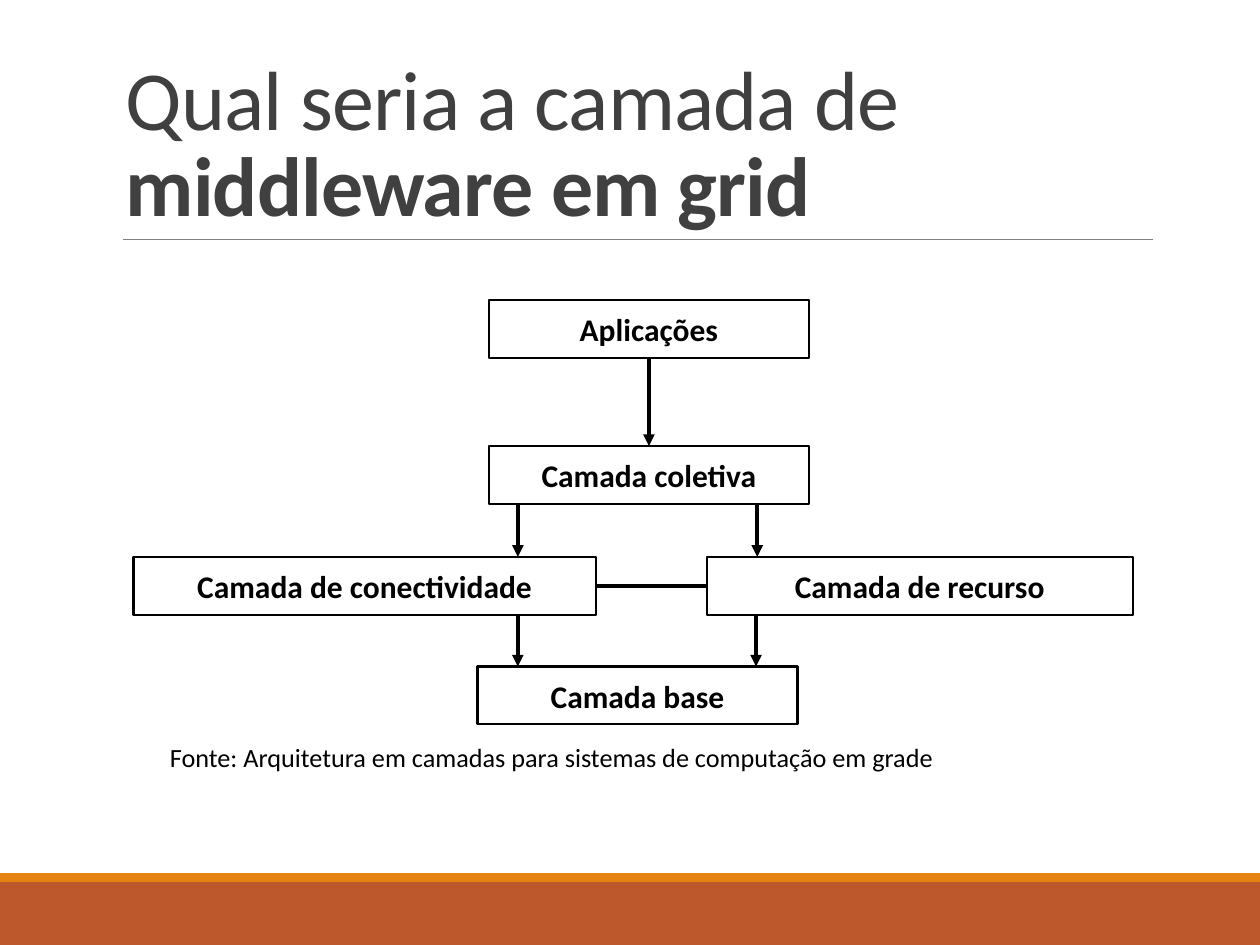
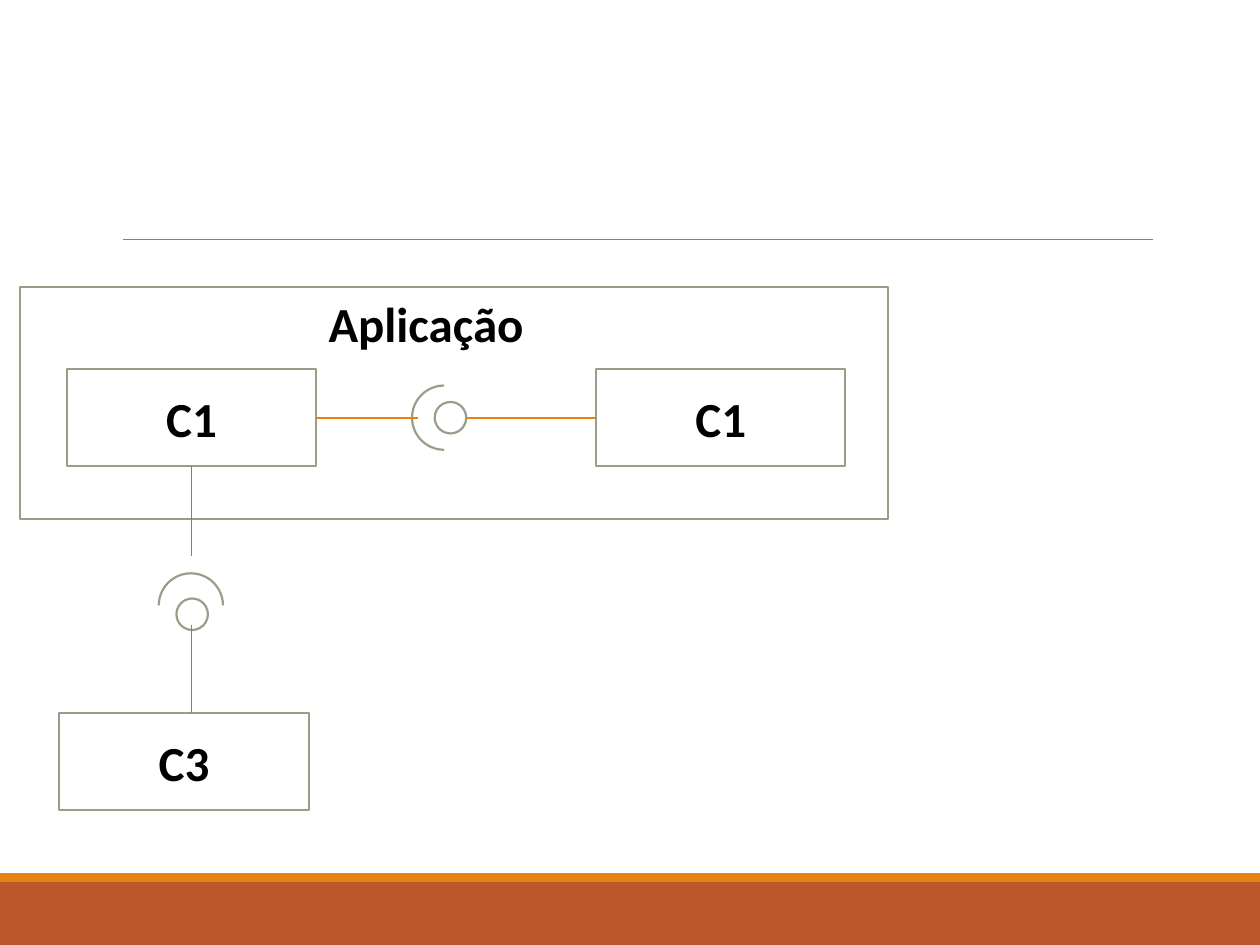
from dataclasses import dataclass

from lxml.etree import SubElement
from pptx import Presentation
from pptx.dml.color import RGBColor
from pptx.enum.shapes import MSO_CONNECTOR, MSO_SHAPE
from pptx.enum.text import MSO_ANCHOR, PP_ALIGN
from pptx.oxml.ns import qn
from pptx.shapes.autoshape import Shape
from pptx.slide import Slide
from pptx.text.text import TextFrame
from pptx.util import Inches, Pt


@dataclass(frozen=True)
class Theme:
    font: str = "Calibri"
    title_color: str = "404040"
    black: str = "000000"
    white: str = "FFFFFF"
    gray: str = "808080"
    sage: str = "94A088"
    orange: str = "E48312"
    rust: str = "BD582C"
    title_size: float = 48
    component_size: float = 28
    layer_size: float = 18
    source_size: float = 15
    outline_width: float = 1.25
    arrow_width: float = 2.25
    thin_width: float = 0.5
    link_width: float = 1


THEME = Theme()


@dataclass(frozen=True)
class Box:
    left: float
    top: float
    width: float
    height: float
    label: str = ""

    @property
    def right(self) -> float:
        return self.left + self.width

    @property
    def bottom(self) -> float:
        return self.top + self.height

    @property
    def center_x(self) -> float:
        return self.left + self.width / 2

    @property
    def center_y(self) -> float:
        return self.top + self.height / 2

    def lengths(self) -> tuple:
        return tuple(Inches(value) for value in (self.left, self.top, self.width, self.height))


def write_text(frame: TextFrame, *runs: tuple[str, bool], size: float, color: str = THEME.black,
               align: PP_ALIGN = PP_ALIGN.LEFT, anchor: MSO_ANCHOR = MSO_ANCHOR.TOP,
               line_spacing: float = 1.0, tracking: float = 0) -> None:
    """Fill a frame with one paragraph made of (text, bold) runs."""
    frame.word_wrap = True
    frame.vertical_anchor = anchor
    paragraph = frame.paragraphs[0]
    paragraph.alignment = align
    paragraph.line_spacing = line_spacing
    for text, bold in runs:
        run = paragraph.add_run()
        run.text = text
        run.font.name = THEME.font
        run.font.size = Pt(size)
        run.font.bold = bold
        run.font.color.rgb = RGBColor.from_string(color)
        if tracking:
            run.font._element.set("spc", str(round(tracking * 100)))


def add_text(slide: Slide, box: Box, *runs: tuple[str, bool], **text_format) -> None:
    write_text(slide.shapes.add_textbox(*box.lengths()).text_frame, *runs, **text_format)


def add_figure(slide: Slide, box: Box, preset: MSO_SHAPE = MSO_SHAPE.RECTANGLE,
               fill: str | None = None, line: str | None = None) -> Shape:
    shape = slide.shapes.add_shape(preset, *box.lengths())
    shape.shadow.inherit = False
    if fill:
        shape.fill.solid()
        shape.fill.fore_color.rgb = RGBColor.from_string(fill)
    else:
        shape.fill.background()
    if line:
        shape.line.color.rgb = RGBColor.from_string(line)
        shape.line.width = Pt(THEME.outline_width)
    else:
        shape.line.fill.background()
    return shape


def add_labeled_box(slide: Slide, box: Box, line: str, size: float) -> None:
    shape = add_figure(slide, box, fill=THEME.white, line=line)
    write_text(shape.text_frame, (box.label, True), size=size,
               align=PP_ALIGN.CENTER, anchor=MSO_ANCHOR.MIDDLE)


def add_line(slide: Slide, start: tuple[float, float], end: tuple[float, float],
             color: str, width: float, arrow: bool = False) -> None:
    connector = slide.shapes.add_connector(
        MSO_CONNECTOR.STRAIGHT, *(Inches(value) for value in (*start, *end)))
    connector.line.color.rgb = RGBColor.from_string(color)
    connector.line.width = Pt(width)
    if arrow:
        SubElement(connector.line._get_or_add_ln(), qn("a:tailEnd"), type="triangle")
    SubElement(connector._element.spPr, qn("a:effectLst"))


def add_socket(slide: Slide, box: Box, start_angle: float) -> None:
    """Draw a half circle that runs clockwise from start_angle in degrees."""
    arc = add_figure(slide, box, MSO_SHAPE.ARC, line=THEME.sage)
    for index, angle in enumerate((start_angle, (start_angle + 180) % 360)):
        arc.adjustments[index] = angle * 60000 / 100000


def add_base_slide(presentation: Presentation) -> Slide:
    """Add a slide with the footer bands and the rule under the title."""
    slide = presentation.slides.add_slide(presentation.slide_layouts[6])
    add_figure(slide, Box(0, 7, 10, 0.5), fill=THEME.rust)
    add_figure(slide, Box(0, 6.93, 10, 0.07), fill=THEME.orange)
    add_line(slide, (0.98, 1.9), (9.15, 1.9), THEME.gray, THEME.thin_width)
    return slide


def build_layers_slide(presentation: Presentation) -> None:
    slide = add_base_slide(presentation)
    add_text(slide, Box(0.9, 0.31, 8.25, 1.59),
             ("Qual seria a camada de ", False), ("middleware em grid", True),
             size=THEME.title_size, color=THEME.title_color, anchor=MSO_ANCHOR.BOTTOM,
             line_spacing=0.85, tracking=-0.5)

    height = 0.46
    applications = Box(3.88, 2.38, 2.54, height, "Aplicações")
    collective = Box(3.88, 3.54, 2.54, height, "Camada coletiva")
    connectivity = Box(1.06, 4.42, 3.67, height, "Camada de conectividade")
    resource = Box(5.61, 4.42, 3.38, height, "Camada de recurso")
    base = Box(3.79, 5.29, 2.54, height, "Camada base")
    for layer in (applications, collective, connectivity, resource, base):
        add_labeled_box(slide, layer, THEME.black, THEME.layer_size)

    arrows = (
        (applications.center_x, applications, collective),
        (4.11, collective, connectivity),
        (6.01, collective, resource),
        (4.11, connectivity, base),
        (6, resource, base),
    )
    for x, upper, lower in arrows:
        add_line(slide, (x, upper.bottom), (x, lower.top),
                 THEME.black, THEME.arrow_width, arrow=True)
    add_line(slide, (connectivity.right, connectivity.center_y),
             (resource.left, resource.center_y), THEME.black, THEME.arrow_width)

    add_text(slide, Box(1.25, 5.83, 7.28, 0.32),
             ("Fonte: Arquitetura em camadas para sistemas de computação em grade", False),
             size=THEME.source_size)


def build_components_slide(presentation: Presentation) -> None:
    slide = add_base_slide(presentation)
    add_figure(slide, Box(0.16, 2.28, 6.89, 1.84), fill=THEME.white, line=THEME.sage)
    add_text(slide, Box(2.51, 2.28, 1.77, 0.57), ("Aplicação", True),
             size=THEME.component_size)

    width, height = 1.98, 0.77
    consumer = Box(0.53, 2.93, width, height, "C1")
    provider = Box(4.73, 2.93, width, height, "C1")
    external = Box(0.47, 5.66, width, height, "C3")
    for component in (consumer, provider, external):
        add_labeled_box(slide, component, THEME.sage, THEME.component_size)

    socket, ball = 0.51, 0.25
    inner_ball = Box(3.45, 3.19, ball, ball)
    outer_ball = Box(1.4, 4.75, ball, ball)
    add_socket(slide, Box(3.27, 3.06, socket, socket), 90)
    add_socket(slide, Box(1.26, 4.55, socket, socket), 180)
    for circle in (inner_ball, outer_ball):
        add_figure(slide, circle, MSO_SHAPE.OVAL, fill=THEME.white, line=THEME.sage)

    row = consumer.center_y
    column = consumer.center_x
    for start, end in ((consumer.right, 3.32), (inner_ball.right, provider.left)):
        add_line(slide, (start, row), (end, row), THEME.orange, THEME.link_width)
    for start, end in ((consumer.bottom, 4.41), (4.96, external.top)):
        add_line(slide, (column, start), (column, end), THEME.gray, THEME.thin_width)


def main() -> None:
    presentation = Presentation()
    presentation.slide_width = Inches(10)
    presentation.slide_height = Inches(7.5)
    build_layers_slide(presentation)
    build_components_slide(presentation)
    presentation.save("out.pptx")


if __name__ == "__main__":
    main()
